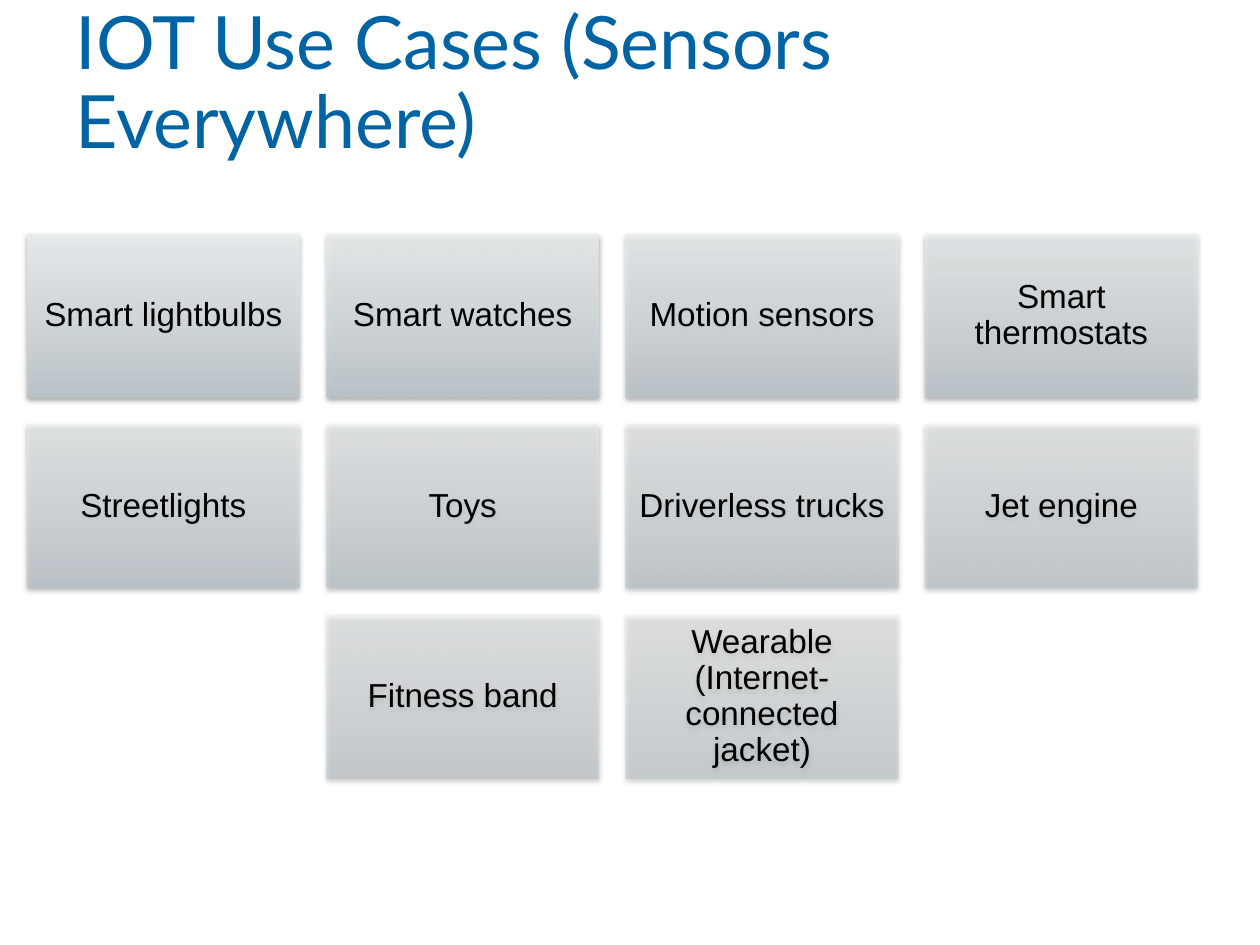
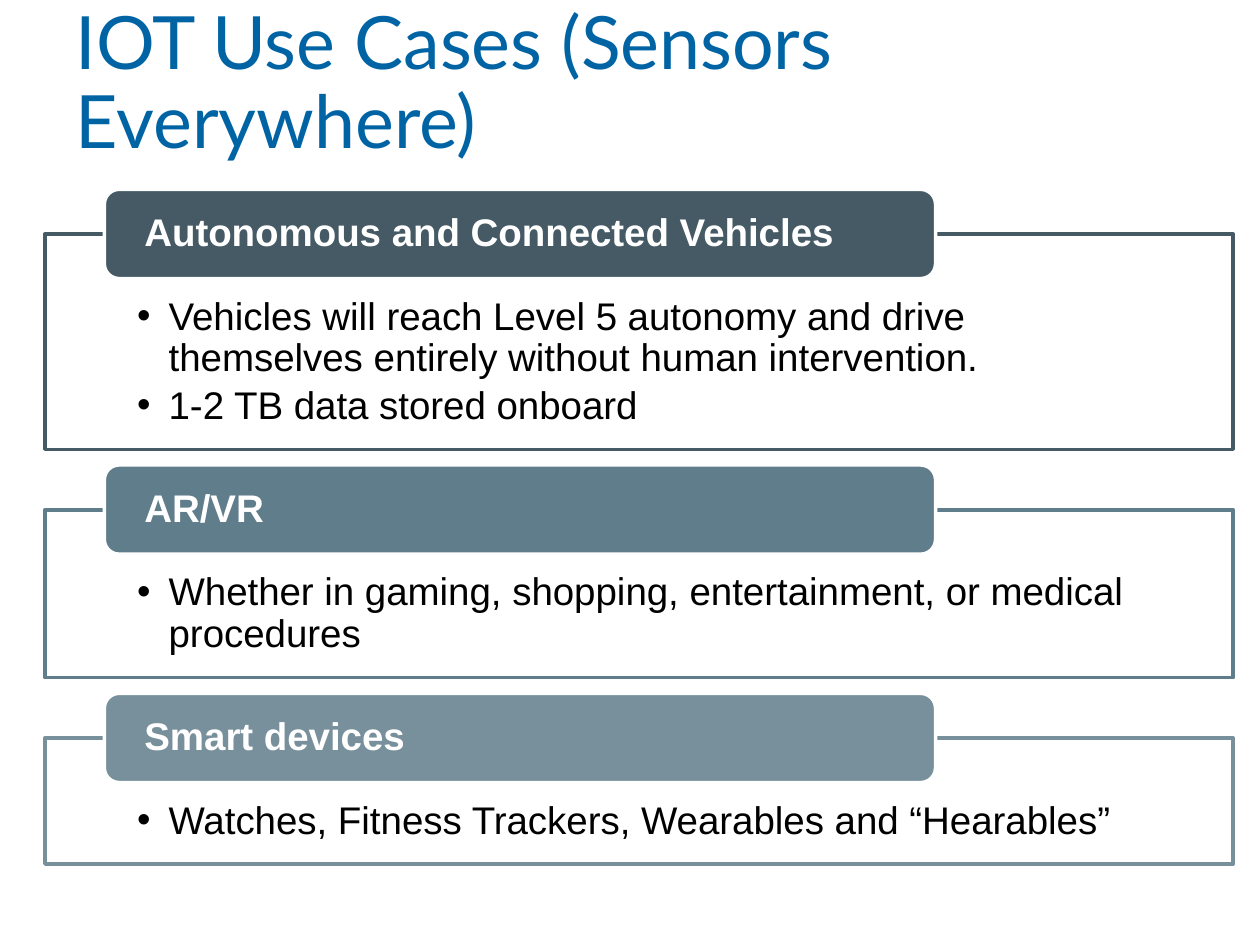
from pptx import Presentation
from pptx.dml.color import RGBColor
from pptx.enum import shapes, text
from pptx.oxml import parse_xml
from pptx.oxml.ns import nsdecls, qn
from pptx.util import Pt

HUES = {
    "title": "0064A4", "black": "000000", "white": "FFFFFF",
    "slate": "455A64", "steel": "607D8B", "mist": "78909C",
    "low": "BBC5CB", "mid": "D0D6DA", "high": "EDF0F1",
}
TITLE = "IOT Use Cases (Sensors Everywhere)"
LEFT, CENTER = text.PP_ALIGN.LEFT, text.PP_ALIGN.CENTER
TOP, MIDDLE = text.MSO_ANCHOR.TOP, text.MSO_ANCHOR.MIDDLE
RECT, ROUND = shapes.MSO_SHAPE.RECTANGLE, shapes.MSO_SHAPE.ROUNDED_RECTANGLE


def write(shape, lines, size=22, hue="black", face="Arial", bold=False,
          align=LEFT, anchor=MIDDLE, inset=(7.2, 3.6, 7.2, 3.6), bullet=False):
    """Fill a shape with one paragraph per line; inset is left, top, right, bottom."""
    frame = shape.text_frame
    frame.word_wrap = True
    frame.auto_size = text.MSO_AUTO_SIZE.NONE
    frame.vertical_anchor = anchor
    (frame.margin_left, frame.margin_top,
     frame.margin_right, frame.margin_bottom) = map(Pt, inset)
    for i, line in enumerate(lines):
        para = frame.paragraphs[0] if i == 0 else frame.add_paragraph()
        if bullet:
            props = para._p.get_or_add_pPr()
            props.set("marL", str(Pt(18)))
            props.set("indent", str(-Pt(18)))
            props.append(parse_xml(f'<a:buFont {nsdecls("a")} typeface="Arial"/>'))
            props.append(parse_xml(f'<a:buChar {nsdecls("a")} char="•"/>'))
            para.space_after = Pt(size * 0.15)
        para.alignment = align
        para.line_spacing = 0.9
        run = para.add_run()
        run.text = line
        run.font.size = Pt(size)
        run.font.name = face
        run.font.bold = bold
        run.font.color.rgb = RGBColor.from_string(HUES[hue])


def block(slide, kind, box, fill=None, line=None):
    """Add a flat shape; box is left, top, width, height in points."""
    shape = slide.shapes.add_shape(kind, *map(Pt, box))
    shape.shadow.inherit = False
    if fill:
        shape.fill.solid()
        shape.fill.fore_color.rgb = RGBColor.from_string(HUES[fill])
    if line:
        shape.line.width = Pt(2)
        shape.line.color.rgb = RGBColor.from_string(HUES[line])
    else:
        shape.line.fill.background()
    return shape


deck = Presentation()
deck.slide_width, deck.slide_height = Pt(720), Pt(540)
pages = []
for _ in range(2):
    page = deck.slides.add_slide(deck.slide_layouts[5])
    head = page.shapes.title
    head.left, head.top, head.width, head.height = map(Pt, (36, 13.7, 669, 70))
    write(head, [TITLE], size=42, hue="title", face="Lato")
    pages.append(page)
tiles, cards = pages

# Slide 1: grid of use cases, last row centred
cases = [
    ["Smart lightbulbs", "Smart watches", "Motion sensors", "Smart thermostats"],
    ["Streetlights", "Toys", "Driverless trucks", "Jet engine"],
    ["Fitness band", "Wearable (Internet-connected jacket)"],
]
wide, high, gap = 155.5, 93.3, 15.55
count = sum(map(len, cases))
index = 0
for row, names in enumerate(cases):
    shift = (len(cases[0]) - len(names)) / 2
    for col, name in enumerate(names):
        box = (15.6 + (col + shift) * (wide + gap), 133.8 + row * (high + gap), wide, high)
        tile = block(tiles, RECT, box)
        alpha = round(90000 - 40000 * index / (count - 1))
        stops = "".join(
            f'<a:gs pos="{pos}"><a:srgbClr val="{HUES[hue]}"><a:alpha val="{alpha}"/></a:srgbClr></a:gs>'
            for pos, hue in ((0, "low"), (35000, "mid"), (100000, "high")))
        props = tile._element.spPr
        props.find(qn("a:prstGeom")).addnext(parse_xml(
            f'<a:gradFill {nsdecls("a")} rotWithShape="1"><a:gsLst>{stops}</a:gsLst>'
            '<a:lin ang="16200000" scaled="0"/></a:gradFill>'))
        props.find(qn("a:effectLst")).append(parse_xml(
            f'<a:outerShdw {nsdecls("a")} blurRad="{Pt(3.1)}" dist="{Pt(1.6)}" dir="5400000" '
            f'rotWithShape="0"><a:srgbClr val="{HUES["black"]}"><a:alpha val="38000"/>'
            '</a:srgbClr></a:outerShdw>'))
        write(tile, [name], size=19, align=CENTER, inset=(5.7,) * 4)
        index += 1

# Slide 2: framed lists with overlapping headings
topics = [
    ("Autonomous and Connected Vehicles", "slate", 123,
     ["Vehicles will reach Level 5 autonomy and drive themselves entirely without human intervention.",
      "1-2 TB data stored onboard"]),
    ("AR/VR", "steel", 96,
     ["Whether in gaming, shopping, entertainment, or medical procedures"]),
    ("Smart devices", "mist", 72,
     ["Watches, Fitness Trackers, Wearables and “Hearables”"]),
]
top = 133.8
for name, hue, tall, points in topics:
    body = block(cards, RECT, (25.7, top, 679, tall), "white", hue)
    write(body, points, anchor=TOP, inset=(52.7, 36, 52.7, 12.2), bullet=True)
    label = block(cards, ROUND, (59.6, top - 25.6, 475, 51), hue, "white")
    write(label, [name], hue="white", bold=True, inset=(20.4, 0, 20.4, 0))
    top += tall + 34.5

deck.save("out.pptx")
